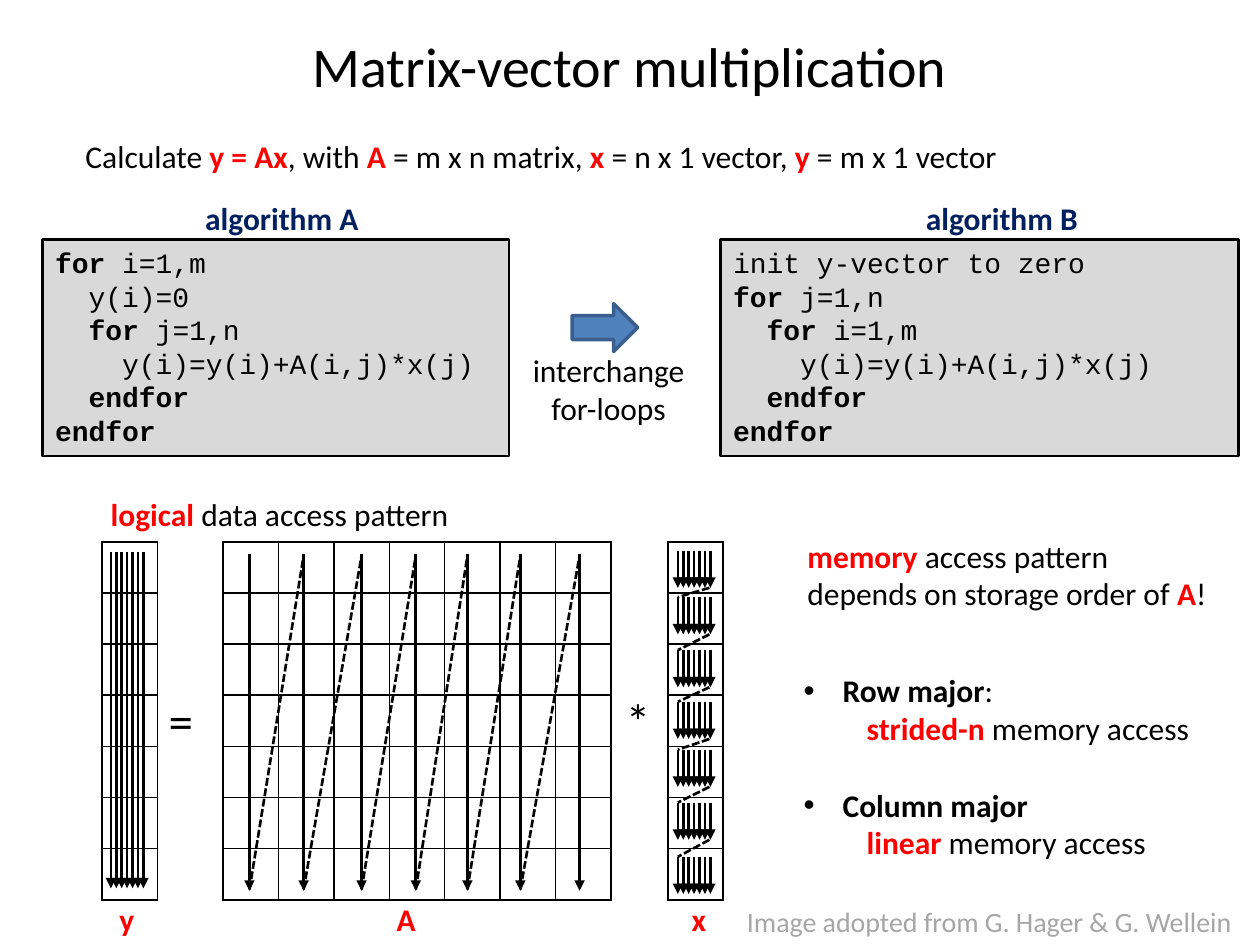
"""Build the matrix-vector multiplication slide on a grid of 100 columns by 75 rows."""
from itertools import pairwise

from pptx import Presentation
from pptx.dml.color import RGBColor
from pptx.enum.shapes import MSO_CONNECTOR, MSO_SHAPE
from pptx.enum.text import MSO_ANCHOR, PP_ALIGN
from pptx.oxml.ns import qn
from pptx.util import Inches, Pt
from lxml.etree import SubElement

COLORS = {"black": "000000", "red": "FF0000", "navy": "002060", "grey": "A6A6A6",
          "code": "D9D9D9", "arrow": "4F81BD", "edge": "3A5F8C"}
N = 7
CELL_W, CELL_H = 4.4, 4.06
TABLE_TOP = 43

CODE_A = ["|for |i=1,m", "  y(i)=0", "  |for| j=1,n",
          "    y(i)=y(i)+A(i,j)*x(j)", "  |endfor|", "|endfor|"]
CODE_B = ["init y-vector to zero", "|for| j=1,n", "|  for |i=1,m",
          "    y(i)=y(i)+A(i,j)*x(j)", "  |endfor|", "|endfor|"]


def grid(*cells):
    return [Inches(c / 10) for c in cells]


def rgb(name):
    return RGBColor.from_string(COLORS[name])


def write(p, text, size, font="Calibri", color="black", accent="red"):
    """Write text into a paragraph; parts between bars are bold in the accent colour."""
    for i, part in enumerate(text.split("|")):
        if part:
            r = p.add_run()
            r.text = part
            r.font.size, r.font.name, r.font.bold = Pt(size), font, i % 2 == 1
            r.font.color.rgb = rgb(accent if i % 2 else color)


def fill_text(tf, lines, size=18, align=PP_ALIGN.LEFT, **style):
    for i, line in enumerate(lines):
        p = tf.add_paragraph() if i else tf.paragraphs[0]
        p.alignment = align
        write(p, line, size, **style)


def add_text(s, box, lines, **style):
    tf = s.shapes.add_textbox(*grid(*box)).text_frame
    tf.word_wrap = False
    fill_text(tf, lines, **style)
    return tf


def add_panel(s, kind, box, fill, edge, width):
    sp = s.shapes.add_shape(kind, *grid(*box))
    sp.shadow.inherit = False
    sp.fill.solid()
    sp.fill.fore_color.rgb = rgb(fill)
    sp.line.color.rgb = rgb(edge)
    sp.line.width = Pt(width)
    return sp


def add_code(s, box, lines):
    sp = add_panel(s, MSO_SHAPE.RECTANGLE, box, "code", "black", 1.5)
    sp.text_frame.vertical_anchor = MSO_ANCHOR.TOP
    fill_text(sp.text_frame, lines, size=16, font="Courier New", accent="black")


def add_bullets(s, box, items):
    tf = add_text(s, box, [])
    for i, (head, detail) in enumerate(items):
        p = tf.add_paragraph() if i else tf.paragraphs[0]
        if i:
            p.space_before = Pt(22)
        pPr = p._p.get_or_add_pPr()
        pPr.set("marL", str(Inches(0.31)))
        pPr.set("indent", str(-Inches(0.31)))
        SubElement(pPr, qn("a:buFont"), typeface="Arial")
        SubElement(pPr, qn("a:buChar"), char="•")
        write(p, head, 18, accent="black")
        p = tf.add_paragraph()
        p.level = 1
        p._p.get_or_add_pPr().set("marL", str(Inches(0.5)))
        write(p, detail, 18)


def add_matrix(s, left, cols):
    frame = s.shapes.add_table(N, cols, *grid(left, TABLE_TOP, cols * CELL_W, N * CELL_H))
    table = frame.table
    table.first_row = table.horz_banding = False
    for column in table.columns:
        column.width = Inches(CELL_W / 10)
    for cell in table.iter_cells():
        cell.margin_top = cell.margin_bottom = 0
        tcPr = cell._tc.get_or_add_tcPr()
        for side in ("lnL", "lnR", "lnT", "lnB"):
            ln = SubElement(tcPr, qn(f"a:{side}"), w=str(Pt(1)))
            SubElement(SubElement(ln, qn("a:solidFill")), qn("a:srgbClr"), val=COLORS["black"])
        cell.fill.background()


def add_line(shapes, start, end, dashed=False):
    """Add a solid arrow, or a dashed line without a head."""
    c = shapes.add_connector(MSO_CONNECTOR.STRAIGHT, *grid(*start, *end))
    c.line.color.rgb = rgb("black")
    c.line.width = Pt(1.5)
    ln = c.line._get_or_add_ln()
    if dashed:
        SubElement(ln, qn("a:prstDash"), val="sysDash")
    else:
        SubElement(ln, qn("a:tailEnd"), type="triangle")
    SubElement(c._element.spPr, qn("a:effectLst"))


def add_strokes(shapes, left, top, height):
    """Add one arrow per matrix column, side by side inside a vector cell."""
    for i in range(N):
        x = left + i * 0.43
        add_line(shapes, (x, top), (x, top + height))


def add_x_access(s):
    tops = [43.7, 47.4, 51.6, 55.7, 59.5, 63.7, 68]
    for top in tops:
        add_strokes(s.shapes, 53.8, top, 2.95)
    for top, following in pairwise(tops):
        add_line(s.shapes, (56.3, top + 2.95), (53.8, following), dashed=True)


def add_a_access(s):
    shapes = s.shapes.add_group_shape().shapes
    xs = [19.8, 24.1, 28.7, 33, 37.1, 41.3, 46]
    for x in xs:
        add_line(shapes, (x, 44), (x, 70.7))
    for x, following in pairwise(xs):
        add_line(shapes, (x, 70.6), (following, 44.1), dashed=True)


def main():
    prs = Presentation()
    prs.slide_width, prs.slide_height = grid(100, 75)
    s = prs.slides.add_slide(prs.slide_layouts[5])
    title = s.shapes.title
    title.left, title.top, title.width, title.height = grid(5, 1.7, 90, 7)
    title.text_frame.vertical_anchor = MSO_ANCHOR.MIDDLE
    fill_text(title.text_frame, ["Matrix-vector multiplication"], size=32, align=PP_ALIGN.CENTER)

    add_text(s, (5.8, 10.4, 75.2, 4), [
        "Calculate |y = Ax|, with |A| = m x n matrix, |x| = n x 1 vector, |y| = m x 1 vector"])
    add_code(s, (3.4, 19, 37, 17.2), CODE_A)
    add_code(s, (57.2, 19, 41.1, 17.2), CODE_B)
    for name, left in (("A", 15.3), ("B", 72.5)):
        add_text(s, (left, 15.3, 14.3, 4), [f"|algorithm {name}|"], accent="navy")
    add_panel(s, MSO_SHAPE.RIGHT_ARROW, (45.4, 24.1, 5.2, 3.8), "arrow", "edge", 2)
    add_text(s, (41.2, 27.4, 14.2, 7.1), ["interchange", "for-loops"], align=PP_ALIGN.CENTER)

    add_text(s, (7.8, 38.8, 29, 4), ["|logical |data access pattern"])
    add_text(s, (63.1, 42.1, 34, 7.1),
             ["|memory |access pattern", "depends on storage order of |A|!"])
    add_bullets(s, (62.8, 52.8, 33.4, 16.2), [
        ("|Row major|:", "|strided-n| memory access"),
        ("|Column major|", "|linear| memory access")])

    for left, cols in ((17.7, N), (8.1, 1), (53, 1)):
        add_matrix(s, left, cols)
    for name, left in (("y", 8.5), ("A", 30.5), ("x", 53.9)):
        add_text(s, (left, 70.9, 3.3, 4), [f"|{name}|"])
    for sign, left in (("=", 12.4), ("*", 48.7)):
        add_text(s, (left, 54.3, 4, 5.7), [sign], size=28)
    add_strokes(s.shapes.add_group_shape().shapes, 8.8, 43.8, 26.7)
    add_x_access(s)
    add_a_access(s)
    add_text(s, (58.3, 71.3, 41.8, 3.7), ["Image adopted from G. Hager & G. Wellein"],
             size=16, color="grey")
    prs.save("out.pptx")


if __name__ == "__main__":
    main()
